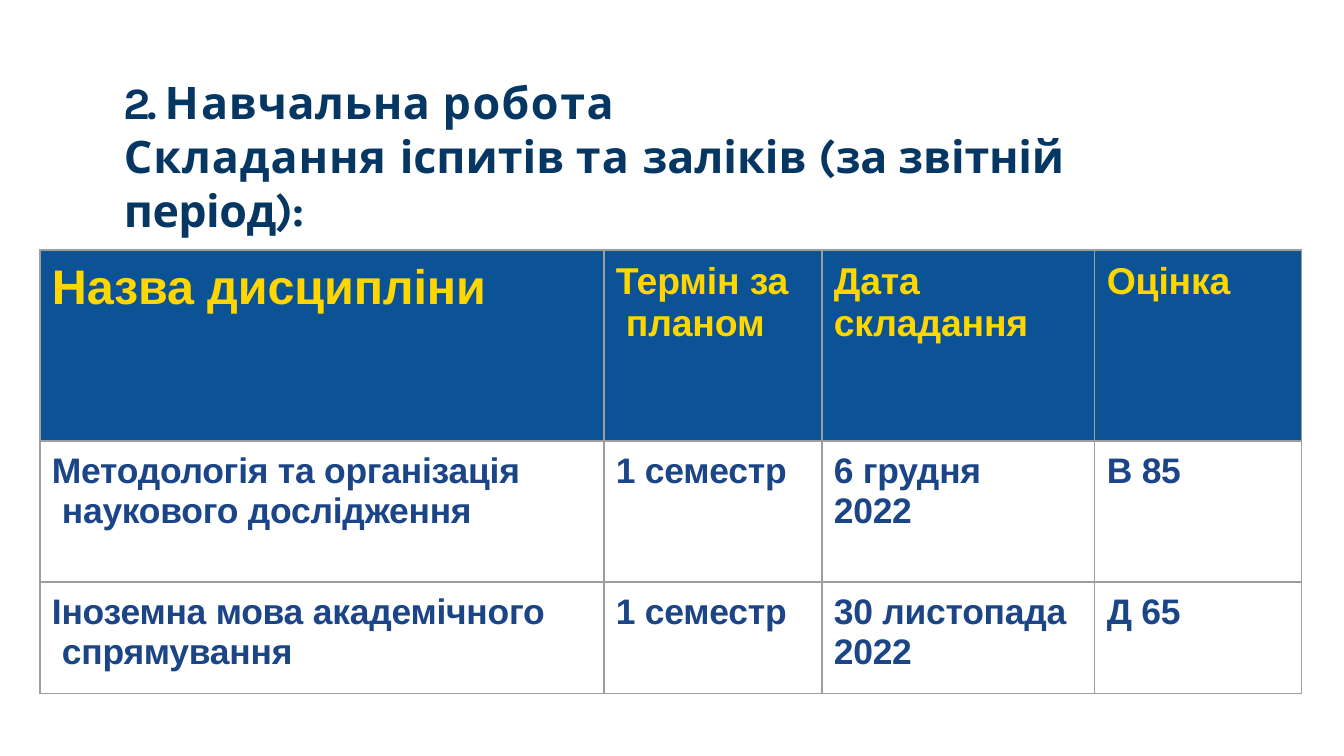
from typing import NamedTuple

from lxml.etree import SubElement
from pptx import Presentation
from pptx.dml.color import RGBColor
from pptx.enum.text import MSO_ANCHOR, PP_ALIGN
from pptx.oxml.ns import qn
from pptx.util import Emu, Pt

NAVY = RGBColor(0x06, 0x37, 0x63)
YELLOW = RGBColor(0xFF, 0xD6, 0x00)
HEADER_BLUE = RGBColor(0x0B, 0x53, 0x94)
BODY_BLUE = RGBColor(0x1B, 0x45, 0x87)
BORDER_GRAY = RGBColor(0x9E, 0x9E, 0x9E)

SLIDE_WIDTH, SLIDE_HEIGHT = 1344, 756
COLUMN_WIDTHS = (564, 218, 273, 207)
ROW_HEIGHTS = (191, 141, 112)
CELL_LEFT_MARGIN, CELL_TOP_MARGIN = 12, 11
HANG = 10


class Span(NamedTuple):
    text: str
    spacing: float  # points


class CellText(NamedTuple):
    lines: tuple[str, ...]
    size: int
    hanging: bool = False


TITLE = (
    (Span("2. ", -2), Span("Н", 1.3), Span("авчальна ", 0.3),
     Span("робо", 0.8), Span("т", 0.7), Span("а", 0.9)),
    (Span("Складання ", 0.5), Span("іспитів ", 0), Span("та ", 0.6),
     Span("заліків ", 0), Span("(за звітній ", -0.1), Span("період):", -0.3)),
)

ROWS = (
    (CellText(("Назва дисципліни",), 26),
     CellText(("Термін за планом",), 20, True),
     CellText(("Дата складання",), 20),
     CellText(("Оцінка",), 20)),
    (CellText(("Методологія та організація наукового дослідження",), 19, True),
     CellText(("1 семестр",), 19),
     CellText(("6 грудня", "2022"), 19),
     CellText(("В 85",), 19)),
    (CellText(("Іноземна мова академічного спрямування",), 19, True),
     CellText(("1 семестр",), 19),
     CellText(("30 листопада", "2022"), 19),
     CellText(("Д 65",), 19)),
)


def px(length: int) -> Emu:
    return Emu(round(length * 9144000 / SLIDE_WIDTH))


def add_span(paragraph, span: Span) -> None:
    """Add a run with its letter spacing."""
    run = paragraph.add_run()
    run.text = span.text
    run.font._element.set("spc", str(round(span.spacing * 100)))


def set_font(paragraph, name: str, size: int, color: RGBColor) -> None:
    font = paragraph.font
    font.name, font.size, font.bold = name, Pt(size), True
    font.color.rgb = color


def set_margins(target, left: int, top: int) -> None:
    target.margin_left, target.margin_top = px(left), px(top)
    target.margin_right = target.margin_bottom = 0


def add_title(page) -> None:
    title = page.shapes.title
    title.left, title.top, title.width, title.height = map(px, (124, 74, 1039, 112))
    frame = title.text_frame
    set_margins(frame, 0, 1)
    frame.word_wrap = True
    frame.vertical_anchor = MSO_ANCHOR.TOP
    for index, spans in enumerate(TITLE):
        paragraph = frame.add_paragraph() if index else frame.paragraphs[0]
        paragraph.alignment = PP_ALIGN.LEFT
        for span in spans:
            add_span(paragraph, span)
        set_font(paragraph, "Karla", 24, NAVY)


def add_borders(cell) -> None:
    properties = cell._tc.get_or_add_tcPr()
    for side in ("lnL", "lnR", "lnT", "lnB"):
        line = SubElement(properties, qn(f"a:{side}"), w=str(Pt(0.75)))
        fill = SubElement(line, qn("a:solidFill"))
        SubElement(fill, qn("a:srgbClr"), val=str(BORDER_GRAY))


def fill_cell(cell, content: CellText, is_header: bool) -> None:
    set_margins(cell, CELL_LEFT_MARGIN, CELL_TOP_MARGIN)
    add_borders(cell)
    if is_header:
        cell.fill.solid()
        cell.fill.fore_color.rgb = HEADER_BLUE
    else:
        cell.fill.background()
    for index, line in enumerate(content.lines):
        frame = cell.text_frame
        paragraph = frame.add_paragraph() if index else frame.paragraphs[0]
        add_span(paragraph, Span(line, -0.1))
        if content.hanging:
            properties = paragraph._p.get_or_add_pPr()
            properties.set("marL", str(px(HANG)))
            properties.set("indent", str(-px(HANG)))
        set_font(paragraph, "Arial", content.size, YELLOW if is_header else BODY_BLUE)


def add_grades_table(page) -> None:
    frame = page.shapes.add_table(
        len(ROWS), len(COLUMN_WIDTHS), px(40), px(250),
        px(sum(COLUMN_WIDTHS)), px(sum(ROW_HEIGHTS)))
    table = frame.table
    table.first_row = table.horz_banding = False
    for column, width in zip(table.columns, COLUMN_WIDTHS):
        column.width = px(width)
    for row_index, (row, height) in enumerate(zip(table.rows, ROW_HEIGHTS)):
        row.height = px(height)
        for cell, content in zip(row.cells, ROWS[row_index]):
            fill_cell(cell, content, is_header=row_index == 0)


def main() -> None:
    deck = Presentation()
    deck.slide_width, deck.slide_height = px(SLIDE_WIDTH), px(SLIDE_HEIGHT)
    page = deck.slides.add_slide(deck.slide_layouts[5])
    add_title(page)
    add_grades_table(page)
    deck.save("out.pptx")


if __name__ == "__main__":
    main()
